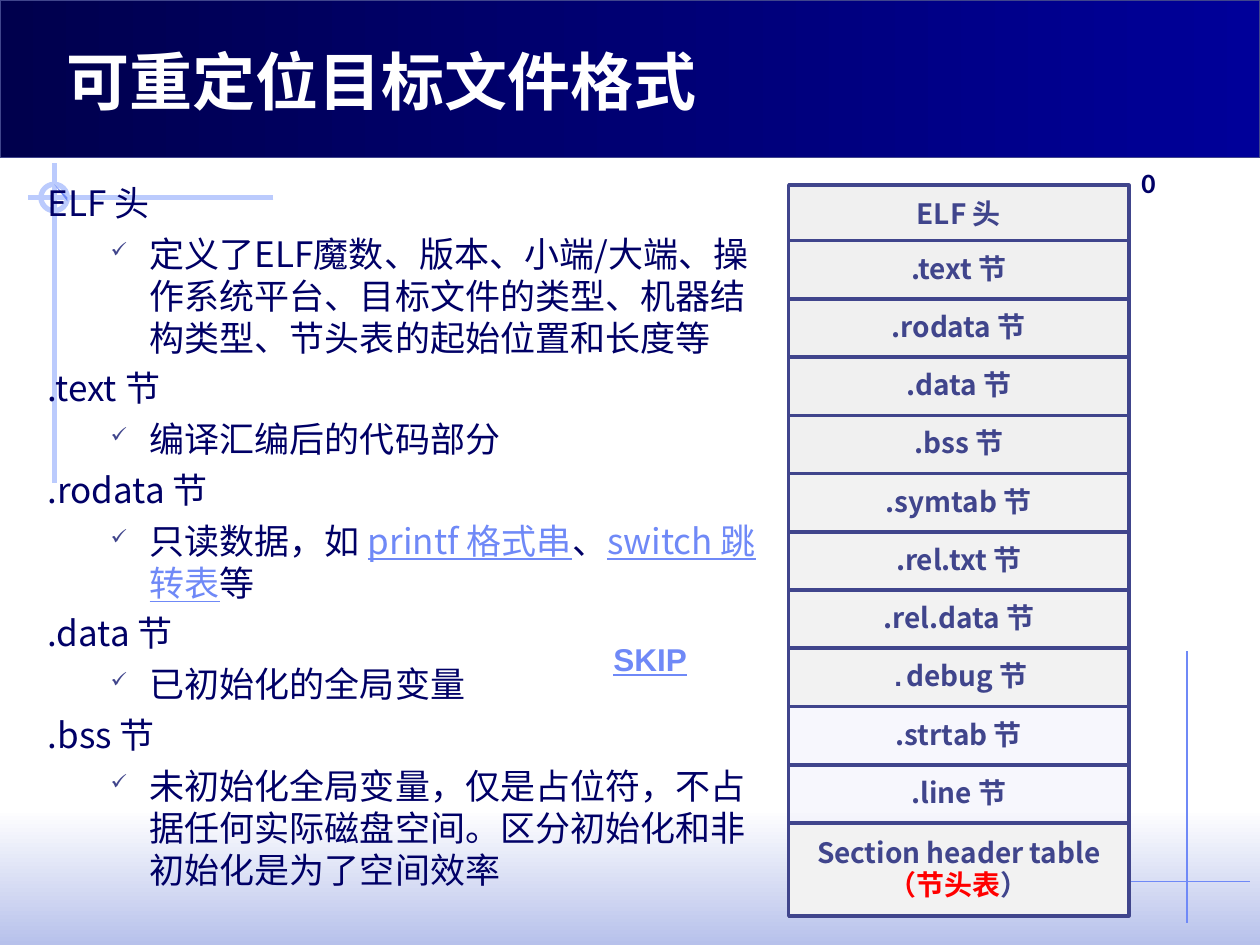
from lxml import etree
from pptx import Presentation
from pptx import util as u
from pptx.dml.color import RGBColor
from pptx.enum import shapes, text
from pptx.oxml import ns

WIDTH, HEIGHT = 10, 7.5
SANS = "Noto Sans CJK SC"
NAVY, INDIGO, BLUE, PALE = "000066", "40458C", "6F89F7", "BBCBFD"
BODY = {"size": 20, "name": SANS, "color": NAVY}
LINK = {**BODY, "color": BLUE, "underline": True}
CELL = {"size": 16, "name": SANS, "color": INDIGO, "bold": True}


def rgb(value):
    return RGBColor.from_string(value)


def sub(parent, tag, **attributes):
    return etree.SubElement(parent, ns.qn(tag), attributes)


def add_run(paragraph, words, style):
    """Add words with the font settings of a style dict."""
    run = paragraph.add_run()
    run.text = words
    for key, value in style.items():
        if key == "color":
            run.font.color.rgb = rgb(value)
        else:
            setattr(run.font, key, u.Pt(value) if key == "size" else value)
    sub(run.font._element, "a:ea", typeface=style["name"])


def fill_text(frame, paragraphs, **settings):
    """Write paragraphs, each a list of (words, style); yield each one."""
    frame.word_wrap = settings.get("wrap", True)
    frame.vertical_anchor = settings.get("anchor", text.MSO_ANCHOR.TOP)
    for index, runs in enumerate(paragraphs):
        paragraph = frame.add_paragraph() if index else frame.paragraphs[0]
        paragraph.alignment = settings.get("align", text.PP_ALIGN.LEFT)
        paragraph.line_spacing = settings.get("spacing", 1.0)
        for words, style in runs:
            add_run(paragraph, words, style)
    return frame.paragraphs


def add_text(slide, box, paragraphs, **settings):
    shape = slide.shapes.add_textbox(*map(u.Inches, box))
    return fill_text(shape.text_frame, paragraphs, **settings)


def add_rectangle(slide, box, fill, line=None, width=0.75, angle=0):
    """Add a rectangle with a plain fill, or a gradient for two colours."""
    shape = slide.shapes.add_shape(shapes.MSO_SHAPE.RECTANGLE, *map(u.Inches, box))
    shape.shadow.inherit = False
    if isinstance(fill, tuple):
        shape.fill.gradient()
        shape.fill.gradient_angle = angle
        for position, (stop, color) in enumerate(zip(shape.fill.gradient_stops, fill)):
            stop.position, stop.color.rgb = position, rgb(color)
    else:
        shape.fill.solid()
        shape.fill.fore_color.rgb = rgb(fill)
    if line:
        shape.line.color.rgb, shape.line.width = rgb(line), u.Pt(width)
    else:
        shape.line.fill.background()
    return shape


def add_line(slide, start, end, color, width):
    line = slide.shapes.add_connector(
        shapes.MSO_CONNECTOR.STRAIGHT, *map(u.Inches, start + end))
    line.line.color.rgb, line.line.width = rgb(color), u.Pt(width)
    sub(line._element.spPr, "a:effectLst")


def draw_background(slide, box):
    left, top, width, height = box
    # Fade along the bottom edge
    add_rectangle(slide, (left, top + 0.856 * height, width, 0.144 * height),
                  ("FFFFFF", "B7C1EB"), angle=270)
    # Crosshair at the top left, thin cross at the bottom right
    x, y, radius = left + 0.043 * width, top + 0.209 * height, 0.105
    add_line(slide, (left + 0.217 * width, y), (left + 0.022 * width, y), PALE, 3)
    add_line(slide, (x, top + 0.173 * height), (x, top + 0.511 * height), PALE, 3)
    add_line(slide, (left + 0.942 * width, top + 0.689 * height),
             (left + 0.942 * width, top + 0.977 * height), BLUE, 0.75)
    add_line(slide, (left + 0.725 * width, top + 0.933 * height),
             (left + 0.992 * width, top + 0.933 * height), BLUE, 0.75)
    # Three-quarter ring and the sliver that closes it
    ring = slide.shapes.add_shape(shapes.MSO_SHAPE.ARC, *map(
        u.Inches, (x - radius, y - radius, 2 * radius, 2 * radius)))
    ring.adjustments[0], ring.adjustments[1] = 0, -90
    ring.shadow.inherit = False
    ring.fill.background()
    ring.line.color.rgb, ring.line.width = rgb(PALE), u.Pt(3)
    builder = slide.shapes.build_freeform(u.Inches(x + radius), u.Inches(y))
    builder.add_line_segments([(u.Inches(x + radius), u.Inches(y + 0.03)),
                               (u.Inches(x), u.Inches(y - radius))])
    sliver = builder.convert_to_shape()
    sliver.shadow.inherit = False
    sliver.fill.solid()
    sliver.fill.fore_color.rgb = rgb(BLUE)
    sliver.line.fill.background()


def draw_title(slide, box, words):
    left, top, width, height = box
    add_rectangle(slide, box, ("00004D", "000099"), INDIGO)
    style = {"size": 36, "name": "Noto Sans CJK JP", "color": "FFFFFF", "bold": True}
    add_text(slide, (left + 0.043 * width, top + 0.104 * height,
                     0.953 * width, 0.688 * height),
             [[(words, style)]], anchor=text.MSO_ANCHOR.BOTTOM)


def draw_outline(slide, box, sections):
    """Write each section's heading and its ticked explanation."""
    rows = [runs for heading, note in sections for runs in ([(heading, BODY)], note)]
    for index, paragraph in enumerate(add_text(slide, box, rows)):
        ticked = index % 2 == 1
        paragraph.space_before = u.Pt(5)
        margin, indent = (0.81, -0.31) if ticked else (0.38, -0.38)
        properties = paragraph._p.get_or_add_pPr()
        properties.set("marL", str(u.Inches(margin)))
        properties.set("indent", str(u.Inches(indent)))
        if ticked:
            properties.set("lvl", "1")
            color = sub(properties, "a:buClr")
            sub(color, "a:srgbClr", val=INDIGO)
            sub(properties, "a:buSzPct", val="60000")
            sub(properties, "a:buChar", char="✓")
        else:
            sub(properties, "a:buNone")


def draw_file_layout(slide, box, cells):
    """Stack the file's sections; the last cell is taller than the rest."""
    left, top, width, height = box
    pitch = 0.0797 * height
    for index, (runs, fill) in enumerate(cells):
        last = index == len(cells) - 1
        y = top + (0.44 + pitch * (index - 1) if index else 0)
        cell_height = top + height - y if last else pitch
        shape = add_rectangle(slide, (left, y, width, cell_height), fill, INDIGO, 2)
        if fill == "D6D6F5":
            color = shape.fill._xPr.find(".//" + ns.qn("a:srgbClr"))
            sub(color, "a:alpha", val="19000")
        fill_text(shape.text_frame, runs, wrap=False, anchor=text.MSO_ANCHOR.MIDDLE,
                  align=text.PP_ALIGN.CENTER, spacing=0.94 if 0 < index and not last else 0.98)
    # Offset of the first byte
    add_text(slide, (left + width, top - 0.19, 0.26, 0.36),
             [[("0", {**CELL, "name": "Calibri", "color": NAVY})]], wrap=False, spacing=0.98)


def main():
    presentation = Presentation()
    presentation.slide_width, presentation.slide_height = u.Inches(WIDTH), u.Inches(HEIGHT)
    slide = presentation.slides.add_slide(presentation.slide_layouts[6])

    draw_background(slide, (0, 0, WIDTH, HEIGHT))
    draw_title(slide, (0, 0, WIDTH, HEIGHT / 6), "可重定位目标文件格式")
    draw_outline(slide, (0.28, 1.39, 5.84, 5.96), [
        ("ELF 头", [("定义了ELF魔数、版本、小端/大端、操作系统平台、目标文件的类型、"
                    "机器结构类型、节头表的起始位置和长度等", BODY)]),
        (".text 节", [("编译汇编后的代码部分", BODY)]),
        (".rodata 节", [("只读数据，如 ", BODY), ("printf 格式串", LINK), ("、", BODY),
                       ("switch 跳转表", LINK), ("等", BODY)]),
        (".data 节", [("已初始化的全局变量", BODY)]),
        (".bss 节", [("未初始化全局变量，仅是占位符，不占据任何实际磁盘空间。"
                     "区分初始化和非初始化是为了空间效率", BODY)]),
    ])

    groups = [("F0F0F0", ["ELF 头", ".text 节", ".rodata 节", ".data 节", ".bss 节"]),
              ("F2F2F2", [".symtab 节", ".rel.txt 节", ".rel.data 节"])]
    cells = [([[(name, CELL)]], fill) for fill, names in groups for name in names]
    cells.append(([[(".", {**CELL, "name": "Courier New"}), ("debug 节", CELL)]], "F2F2F2"))
    cells += [([[(name, CELL)]], "D6D6F5") for name in (".strtab 节", ".line 节")]
    cells.append(([[("Section header table", CELL)],
                   [("（节头表", {**CELL, "color": "FF0000"}), ("）", CELL)]], "F2F2F2"))
    draw_file_layout(slide, (6.26, 1.47, 2.7, 5.8), cells)

    add_text(slide, (4.77, 5.03, 0.93, 0.42),
             [[("SKIP", {**LINK, "name": "Arial", "size": 18, "bold": True})]])
    presentation.save("out.pptx")


if __name__ == "__main__":
    main()
